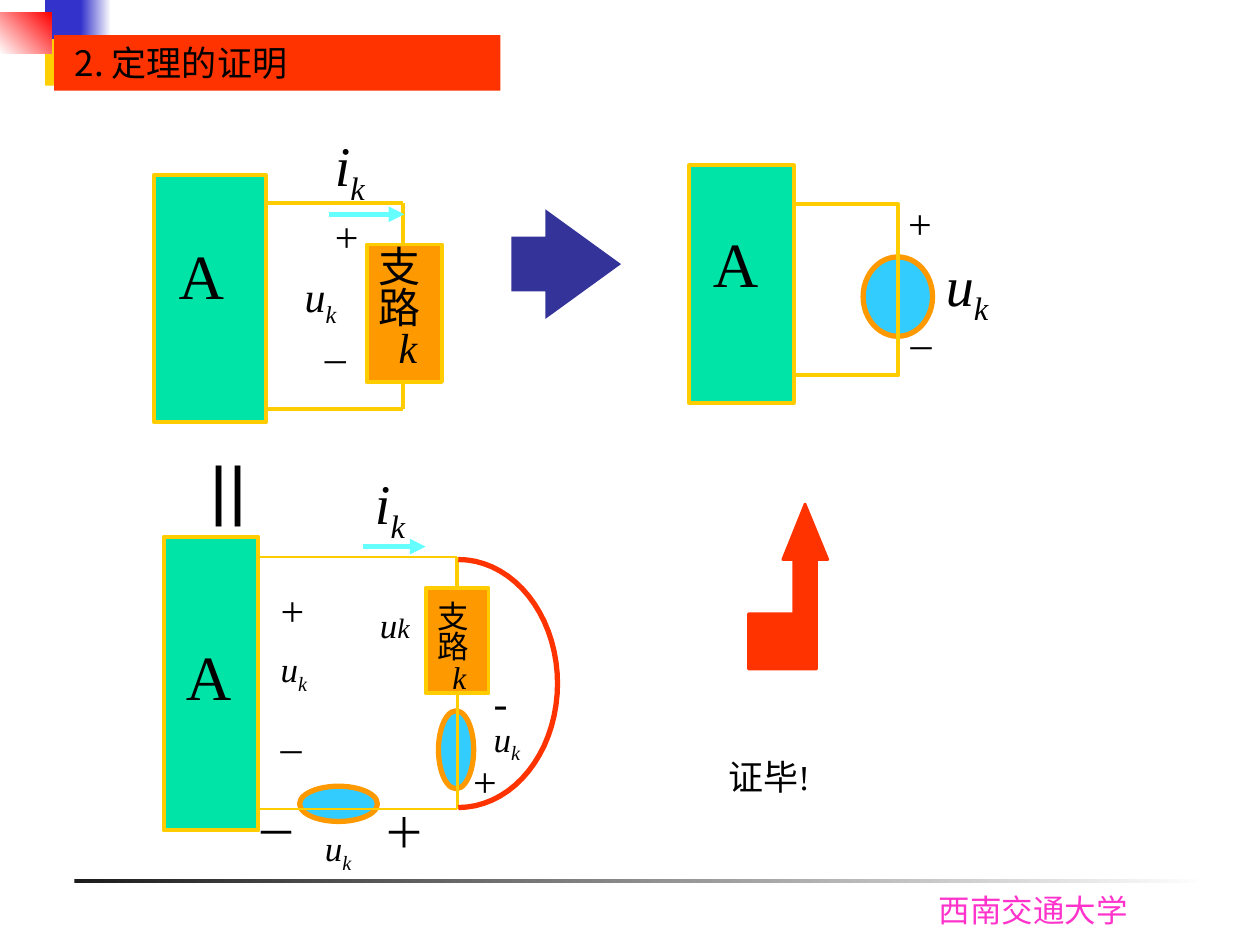
import math
from dataclasses import dataclass
from typing import Any

from lxml import etree
from pptx import Presentation
from pptx.dml.color import RGBColor
from pptx.enum.shapes import MSO_CONNECTOR, MSO_SHAPE
from pptx.enum.text import MSO_ANCHOR, PP_ALIGN
from pptx.oxml.ns import qn
from pptx.util import Cm, Pt

RECT, OVAL, ARROW = MSO_SHAPE.RECTANGLE, MSO_SHAPE.OVAL, MSO_SHAPE.RIGHT_ARROW
STRAIGHT = MSO_CONNECTOR.STRAIGHT
LEFT, RIGHT, CENTER = PP_ALIGN.LEFT, PP_ALIGN.RIGHT, PP_ALIGN.CENTER


class Theme:
    BLACK, WHITE, DARK = "000000", "FFFFFF", "1C1C1C"
    RED, PURE_RED, PINK = "FF3300", "FF0000", "FF33CC"
    BLUE, INDIGO, SKY, CYAN = "3333CC", "333399", "33CCFF", "66FFFF"
    GREEN, ORANGE, WIRE, GOLD = "00E4A8", "FF9900", "FFCC00", "FFCF01"
    SERIF, SANS, FOOTER = "Times New Roman", "Noto Sans CJK SC", "Karla"
    BLOCK, BIG, SIGN, SMALL, TINY, EQUALS = 36, 32, 24, 20, 18, 48
    THIN, NORMAL, THICK = 1.5, 2.25, 3


@dataclass
class Box:
    shapes: Any
    x: float = 0
    y: float = 0


def group_box(s, x, y):
    return Box(s.shapes.add_group_shape().shapes, x, y)


def paint(sp, fill=None, line=None, width=Theme.NORMAL):
    """Fill is a colour, a (start, end, angle) gradient, or None."""
    sp.shadow.inherit = False
    if fill is None:
        sp.fill.background()
    elif isinstance(fill, tuple):
        sp.fill.gradient()
        sp.fill.gradient_angle = fill[2]
        for stop, color in zip(sp.fill.gradient_stops, fill):
            stop.color.rgb = RGBColor.from_string(color)
    else:
        sp.fill.solid()
        sp.fill.fore_color.rgb = RGBColor.from_string(fill)
    if line:
        sp.line.color.rgb = RGBColor.from_string(line)
        sp.line.width = Pt(width)
    else:
        sp.line.fill.background()
    return sp


def shape(box, kind, x, y, w, h, *colors):
    sp = box.shapes.add_shape(kind, Cm(box.x + x), Cm(box.y + y), Cm(w), Cm(h))
    return paint(sp, *colors)


def wire(box, x1, y1, x2, y2, width=Theme.NORMAL, color=Theme.WIRE, arrow=False):
    c = box.shapes.add_connector(STRAIGHT, Cm(box.x + x1), Cm(box.y + y1),
                                 Cm(box.x + x2), Cm(box.y + y2))
    c.line.color.rgb = RGBColor.from_string(color)
    c.line.width = Pt(width)
    if arrow:
        etree.SubElement(c.line._get_or_add_ln(), qn("a:tailEnd"), type="triangle")
    etree.SubElement(c._element.spPr, qn("a:effectLst"))


def outline(box, points, closed, *colors):
    pts = [(Cm(box.x + x), Cm(box.y + y)) for x, y in points]
    fb = box.shapes.build_freeform(*pts[0])
    fb.add_line_segments(pts[1:], close=closed)
    return paint(fb.convert_to_shape(), *colors)


def write(p, text, size, color=Theme.BLACK, name=Theme.SERIF, italic=False):
    r = p.add_run()
    r.text = text
    fmt = {"size": Pt(size), "name": name, "italic": italic}
    for key, value in fmt.items():
        setattr(r.font, key, value)
    r.font.color.rgb = RGBColor.from_string(color)
    return r


def frame(box, x, y, w, h, wrap=True):
    sp = box.shapes.add_textbox(Cm(box.x + x), Cm(box.y + y), Cm(w), Cm(h))
    sp.text_frame.word_wrap = wrap
    return sp


def label(box, x, y, w, h, text, size=Theme.SIGN, **fmt):
    sp = frame(box, x, y, w, h)
    write(sp.text_frame.paragraphs[0], text, size, **fmt)
    return sp


def symbol(box, x, y, w, h, letter, size):
    """Italic quantity with subscript k."""
    p = frame(box, x, y, w, h).text_frame.paragraphs[0]
    write(p, letter, size, italic=True)
    sub = write(p, "k", size, italic=True)
    sub.font._element.set("baseline", "-25000")


def network(box, w, h, text_x, text_y):
    shape(box, RECT, 0, 0, w, h, Theme.GREEN, Theme.WIRE)
    label(box, text_x, text_y, 1.5, 1.78, "A", Theme.BLOCK)


def source(box, x, y, w, h):
    shape(box, OVAL, x, y, w, h, Theme.SKY, Theme.ORANGE, Theme.THICK)


def branch(box, x, y, w, h, text_dy, text_w, text_h, size):
    shape(box, RECT, x, y, w, h, Theme.ORANGE, Theme.WIRE)
    tf = frame(box, x, y + text_dy, text_w, text_h).text_frame
    for i, text in enumerate("支路k"):
        p = tf.add_paragraph() if i else tf.paragraphs[0]
        p.line_spacing = 0.8
        p.alignment = RIGHT if text == "k" else LEFT
        write(p, text, size, italic=text == "k")


def original_circuit(box):
    network(box, 2.26, 4.98, 0.25, 1.12)
    for ends in ((2.26, 0.56, 5.03, 0.56), (5.03, 0.56, 5.03, 1.4),
                 (2.26, 4.72, 5.03, 4.72), (5.03, 4.72, 5.03, 4.17)):
        wire(box, *ends)
    branch(box, 4.29, 1.4, 1.52, 2.77, 0, 1.27, 4.32, Theme.SIGN)
    wire(box, 3.53, 0.79, 5.05, 0.79, Theme.THICK, Theme.CYAN, arrow=True)
    symbol(box, 3.4, -1.02, 1.78, 1.8, "i", Theme.BIG)
    symbol(box, 2.79, 1.8, 1.83, 1.42, "u", Theme.SIGN)
    label(box, 3.4, 0.58, 0.81, 1.27, "+")
    label(box, 3.2, 3, 1.27, 1.27, "–")


def replaced_circuit(box):
    network(box, 2.11, 4.8, 0.23, 1.07)
    shape(box, RECT, 2.11, 0.79, 2.11, 3.45, None, Theme.WIRE)
    source(box, 3.51, 1.85, 1.4, 1.6)
    wire(box, 4.22, 1.8, 4.22, 3.51)
    label(box, 4.17, 0.53, 0.76, 1.27, "+")
    label(box, 4.22, 2.92, 1.17, 1.27, "–")
    symbol(box, 4.93, 1.6, 1.68, 1.8, "u", Theme.BIG)


def proof_circuit(box):
    network(box, 1.91, 5.92, 0.2, 1.91)
    source(box, 2.74, 5.03, 1.57, 0.71)
    source(box, 5.54, 3.51, 0.71, 1.57)
    branch(box, 5.28, 1.04, 1.27, 2.11, 0.2, 1.07, 3.3, Theme.TINY)
    wire(box, 1.91, 0.41, 5.92, 0.41, Theme.THIN)
    wire(box, 5.92, 0.41, 5.92, 1.04)
    wire(box, 1.91, 5.49, 5.92, 5.49, Theme.THIN)
    wire(box, 5.92, 5.49, 5.92, 3.15, Theme.THIN)
    wire(box, 4.01, 0.2, 5.28, 0.2, Theme.THICK, Theme.CYAN, arrow=True)
    symbol(box, 4.01, -1.5, 1.47, 1.8, "i", Theme.BIG)
    for x, y, w in ((3, 5.72, 2.11), (6.4, 3.51, 2.49), (2.11, 2.11, 1.52)):
        symbol(box, x, y, w, 1.22, "u", Theme.SMALL)
    for x, y, sign in ((1.6, 5.31, "－"), (4.19, 5.31, "＋"), (5.99, 4.29, "+"),
                       (6.4, 2.69, "-"), (2.11, 0.84, "+"), (2.11, 3.58, "–")):
        label(box, x, y, 1.19, 1.27, sign)
    # Branch voltage, with k on the baseline
    p = frame(box, 4.11, 1.22, 1.12, 1.12, wrap=False).text_frame.paragraphs[0]
    write(p, "u", Theme.SMALL, italic=True)
    write(p, "k", 16, italic=True)
    # Short-circuit arc
    angles = [math.radians(a) for a in range(-90, 91, 5)]
    arc = [(5.94 + 2 * math.cos(a), 2.96 + 2.5 * math.sin(a)) for a in angles]
    outline(box, arc, False, None, Theme.RED, Theme.THICK)


def decoration(box):
    shape(box, RECT, 0.91, 0, 0.81, 0.94, Theme.BLUE)
    shape(box, RECT, 1.63, 0, 0.61, 0.94, (Theme.BLUE, Theme.WHITE, 0))
    shape(box, RECT, 0.91, 0.79, 0.79, 0.94, Theme.GOLD)
    shape(box, RECT, 0, 0.25, 1.04, 0.84, (Theme.WHITE, Theme.PURE_RED, 45))


def footer(box):
    shape(box, RECT, 0, 0, 22.86, 0.08, (Theme.DARK, Theme.WHITE, 0))
    label(box, 17.17, 0.1, 4.6, 1.02, "西南交通大学", Theme.TINY,
          color=Theme.PINK, name=Theme.FOOTER)


def title(box):
    sp = shape(box, RECT, 0, 0, 9, 1.12, Theme.RED)
    tf = sp.text_frame
    tf.margin_left = Cm(0.42)
    tf.vertical_anchor = MSO_ANCHOR.TOP
    tf.paragraphs[0].alignment = LEFT
    r = write(tf.paragraphs[0], "2. 定理的证明", Theme.SMALL, name=Theme.SANS)
    etree.SubElement(r.font._element, qn("a:ea"), typeface=Theme.SANS)


def conclusion(box):
    outline(box, [(1.14, 0), (0.69, 1.12), (0.91, 1.12), (0.91, 2.21), (0, 2.21),
                  (0, 3.33), (1.37, 3.33), (1.37, 1.12), (1.6, 1.12)],
            True, Theme.RED, Theme.RED, Theme.THIN)
    tf = frame(box, -0.74, 4.93, 2.31, 1.12, wrap=False).text_frame
    tf.vertical_anchor = MSO_ANCHOR.MIDDLE
    tf.paragraphs[0].alignment = CENTER
    write(tf.paragraphs[0], "证毕!", Theme.SMALL)


def main():
    prs = Presentation()
    prs.slide_width, prs.slide_height = Cm(25.4), Cm(19.05)
    s = prs.slides.add_slide(prs.slide_layouts[6])
    page = Box(s.shapes)

    footer(Box(s.shapes, 1.5, 17.73))
    decoration(group_box(s, 0, 0))
    original_circuit(group_box(s, 3.1, 3.53))
    replaced_circuit(group_box(s, 13.89, 3.33))
    # Arrow between the upper circuits
    sp = shape(page, ARROW, 10.31, 4.22, 2.21, 2.21, Theme.INDIGO)
    sp.adjustments[1] = 0.69
    proof_circuit(group_box(s, 3.3, 10.82))
    conclusion(Box(s.shapes, 15.09, 10.16))
    title(Box(s.shapes, 1.09, 0.71))
    # Upright equals sign between the left circuits
    label(page, 3.33, 9.07, 2.59, 2.29, "＝", Theme.EQUALS).rotation = 90

    prs.save("out.pptx")


if __name__ == "__main__":
    main()
